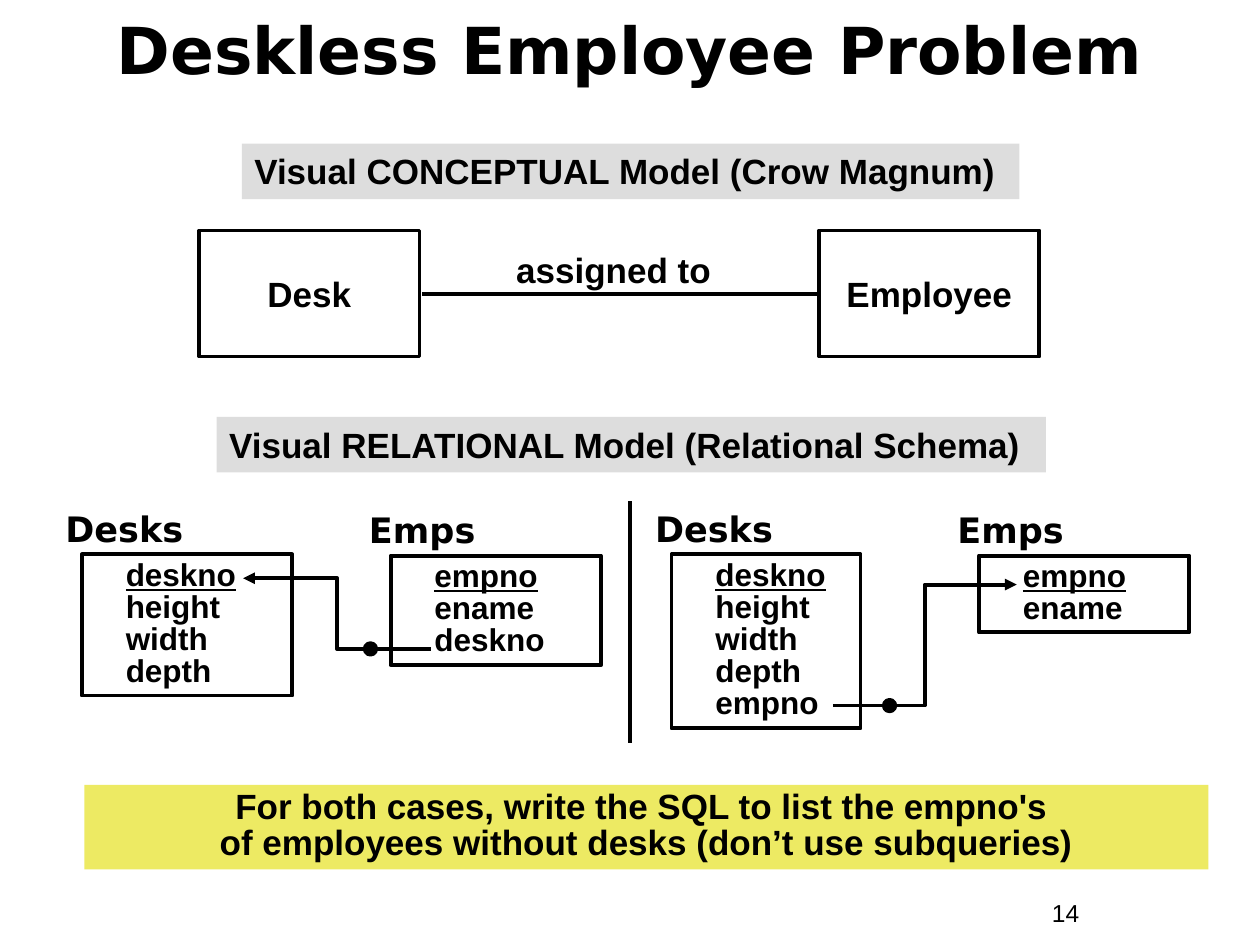
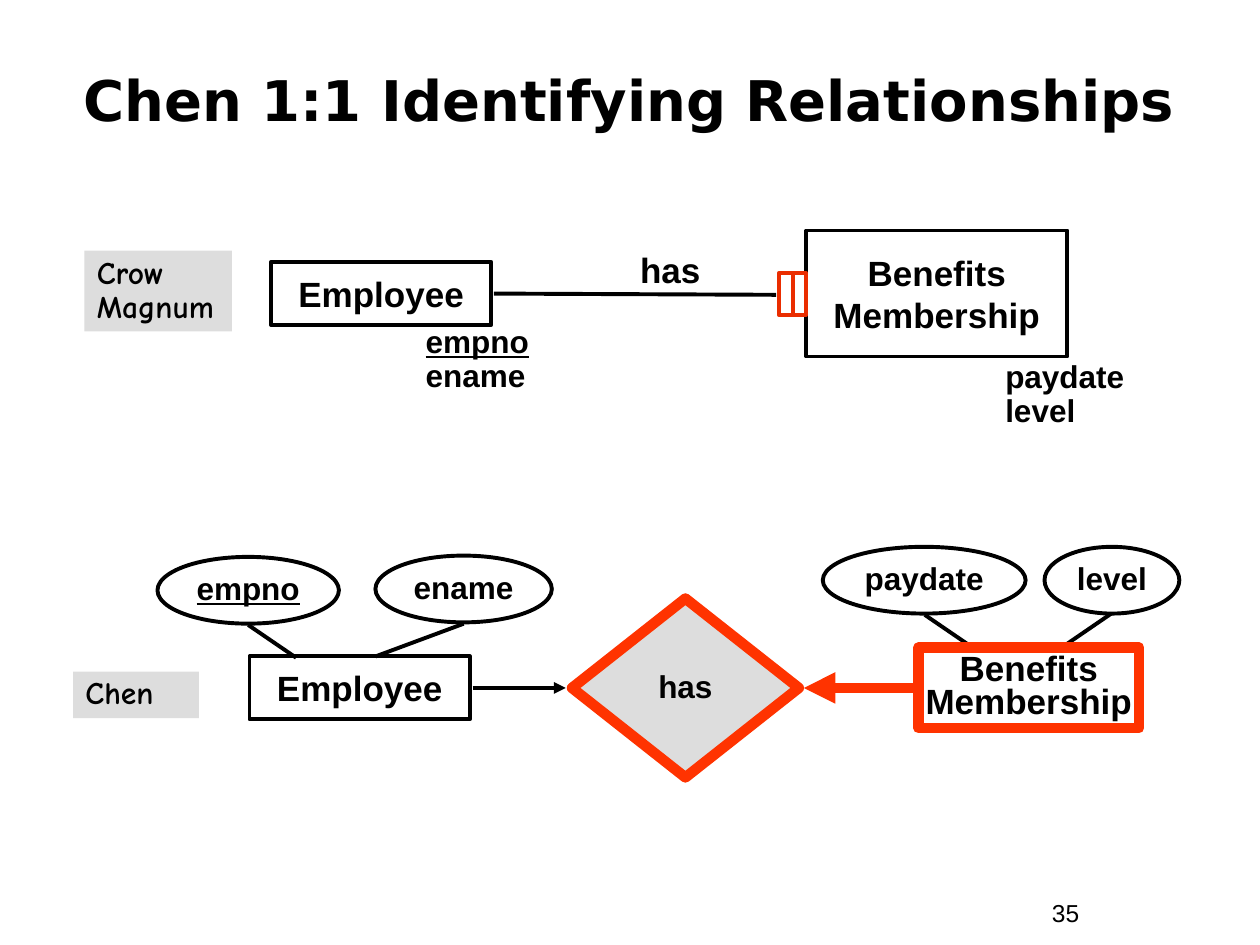
from lxml.etree import SubElement
from pptx import Presentation
from pptx.dml.color import RGBColor
from pptx.enum.shapes import MSO_CONNECTOR, MSO_SHAPE
from pptx.enum.text import MSO_ANCHOR, PP_ALIGN
from pptx.oxml.ns import qn
from pptx.util import Inches, Pt

BLACK = RGBColor(0x00, 0x00, 0x00)
WHITE = RGBColor(0xFF, 0xFF, 0xFF)
GREY = RGBColor(0xDD, 0xDD, 0xDD)
YELLOW = RGBColor(0xED, 0xEA, 0x63)
RED = RGBColor(0xFF, 0x33, 0x00)
BRICK = RGBColor(0xEA, 0x2D, 0x00)

BODY = "Arial"
HEAD = "DejaVu Sans"
COMIC = "Comic Neue"
THIN, THICK = 2.25, 6


def write(shape, lines, size=20, font=BODY, bold=True, key=None, align=PP_ALIGN.LEFT,
          anchor=MSO_ANCHOR.TOP, wrap=True, spacing=1.0, indent=0):
    """Fill a shape with one paragraph per line; the line equal to key is underlined."""
    frame = shape.text_frame
    frame.word_wrap = wrap
    frame.vertical_anchor = anchor
    for i, line in enumerate(lines):
        para = frame.paragraphs[0] if i == 0 else frame.add_paragraph()
        para.text = line
        if indent:
            para._p.get_or_add_pPr().set("marL", str(Inches(indent)))
        para.alignment = align
        para.line_spacing = spacing
        para.font.name = font
        para.font.size = Pt(size)
        para.font.bold = bold
        para.font.color.rgb = BLACK
        if line == key:
            para.font.underline = True


def label(slide, lines, x, y, w, h, **style):
    box = slide.shapes.add_textbox(Inches(x), Inches(y), Inches(w), Inches(h))
    write(box, lines, **style)


def block(slide, x, y, w, h, kind=MSO_SHAPE.RECTANGLE, fill=None, line=BLACK, width=THIN):
    shape = slide.shapes.add_shape(kind, Inches(x), Inches(y), Inches(w), Inches(h))
    shape.shadow.inherit = False
    if fill is None:
        shape.fill.background()
    else:
        shape.fill.solid()
        shape.fill.fore_color.rgb = fill
    if line is None:
        shape.line.fill.background()
    else:
        shape.line.color.rgb = line
        shape.line.width = Pt(width)
    return shape


def node(slide, lines, x, y, w, h, size=20, spacing=1.0, key=None, **look):
    """A shape with centred text: entity, attribute or relationship."""
    write(block(slide, x, y, w, h, **look), lines, size=size, spacing=spacing, key=key,
          align=PP_ALIGN.CENTER, anchor=MSO_ANCHOR.MIDDLE, wrap=False)


def oval(slide, name, x, y, w, key=None):
    node(slide, [name], x, y, w, 0.53, size=18, spacing=0.9, key=key,
         kind=MSO_SHAPE.OVAL, fill=WHITE)


def band(slide, lines, x, y, w, h, fill=GREY, **style):
    write(block(slide, x, y, w, h, fill=fill, line=None), lines, **style)


def link(slide, start, end, kind=MSO_CONNECTOR.STRAIGHT, arrow=False, color=BLACK, width=THIN):
    line = slide.shapes.add_connector(kind, *(Inches(v) for v in (*start, *end)))
    line.line.color.rgb = color
    line.line.width = Pt(width)
    if arrow:
        SubElement(line.line._get_or_add_ln(), qn("a:tailEnd"), type="triangle")
    SubElement(line._element.spPr, qn("a:effectLst"))


def table_box(slide, name, fields, x, y, w, h, gap):
    """A relation: its name above a box of columns, the first being the key."""
    label(slide, [name], x - gap, y - 0.42, 2.15, 0.44, font=HEAD)
    write(block(slide, x, y, w, h), fields, size=18, key=fields[0], spacing=0.85, indent=0.25)


def foreign(slide, start, end, dot):
    """An elbow arrow from a foreign key to a primary key, with a dot on it."""
    link(slide, start, end, kind=MSO_CONNECTOR.ELBOW, arrow=True)
    size = 0.09
    block(slide, dot - size / 2, start[1] - size / 2, size, size, kind=MSO_SHAPE.OVAL, fill=BLACK)


def new_slide(deck, title, number, y, h, size, spacing=1.0):
    slide = deck.slides.add_slide(deck.slide_layouts[6])
    label(slide, [title], 0.33, y, 9.33, h, size=size, font=HEAD, spacing=spacing,
          align=PP_ALIGN.CENTER, anchor=MSO_ANCHOR.MIDDLE)
    label(slide, [str(number)], 8.25, 7.08, 0.92, 0.34, size=14, bold=False)
    return slide


def desk_slide(deck):
    slide = new_slide(deck, "Deskless Employee Problem", 14, 0.11, 0.67, 37, 0.8)

    band(slide, ["Visual CONCEPTUAL Model (Crow Magnum)"], 1.92, 1.14, 6.17, 0.44)
    for name, x in (("Desk", 1.58), ("Employee", 6.5)):
        node(slide, [name], x, 1.83, 1.75, 1)
    link(slide, (3.35, 2.33), (6.49, 2.33))
    label(slide, ["assigned to"], 3.83, 1.92, 2.08, 0.44, align=PP_ALIGN.CENTER)

    band(slide, ["Visual RELATIONAL Model (Relational Schema)"], 1.72, 3.31, 6.58, 0.44)
    link(slide, (5, 3.98), (5, 5.9))
    desk = ["deskno", "height", "width", "depth"]
    emp = ["empno", "ename"]
    table_box(slide, "Desks", desk, 0.65, 4.4, 1.67, 1.12, 0.23)
    table_box(slide, "Emps", emp + ["deskno"], 3.1, 4.41, 1.67, 0.87, 0.27)
    foreign(slide, (3.42, 5.15), (1.93, 4.59), 2.94)
    table_box(slide, "Desks", desk + ["empno"], 5.33, 4.4, 1.5, 1.38, 0.23)
    table_box(slide, "Emps", emp, 7.77, 4.41, 1.67, 0.61, 0.27)
    foreign(slide, (6.61, 5.6), (8.07, 4.64), 7.06)

    task = ("For both cases, write the SQL to list the empno's \v"
            "of employees without desks (don’t use subqueries)")
    band(slide, [task], 0.67, 6.23, 8.92, 0.67, fill=YELLOW, spacing=0.85,
         align=PP_ALIGN.CENTER)


def chen_slide(deck):
    slide = new_slide(deck, "Chen 1:1 Identifying Relationships", 35, 0.33, 0.92, 32)
    member = ["Benefits\vMembership"]
    note = dict(size=18, spacing=0.9)

    band(slide, ["Crow\vMagnum"], 0.67, 1.99, 1.17, 0.64, font=COMIC, **note)
    node(slide, ["Employee"], 2.15, 2.08, 1.75, 0.5)
    node(slide, member, 6.4, 1.83, 2.07, 1)
    link(slide, (3.92, 2.33), (6.16, 2.34))
    label(slide, ["has"], 4.98, 1.92, 0.68, 0.44, align=PP_ALIGN.CENTER, wrap=False)
    label(slide, ["empno", "ename"], 3.28, 2.54, 1.21, 0.64, key="empno", **note)
    label(slide, ["paydate", "level"], 7.88, 2.82, 1.21, 0.64, **note)
    for x in (6.29, 6.18):
        block(slide, x, 2.17, 0.11, 0.33, line=BRICK)

    band(slide, ["Chen"], 0.58, 5.33, 1, 0.37, font=COMIC, **note)
    oval(slide, "empno", 1.25, 4.42, 1.44, key="empno")
    oval(slide, "ename", 2.98, 4.41, 1.4)
    oval(slide, "paydate", 6.53, 4.34, 1.61)
    oval(slide, "level", 8.29, 4.34, 1.07)
    for start, end in (((1.97, 4.96), (2.35, 5.22)), ((3.68, 4.95), (2.98, 5.21)),
                       ((7.34, 4.88), (7.72, 5.14)), ((8.82, 4.87), (8.44, 5.13))):
        link(slide, start, end)
    node(slide, ["Employee"], 1.98, 5.21, 1.75, 0.5)
    node(slide, member, 7.29, 5.14, 1.75, 0.64, spacing=0.8, line=RED, width=THICK)
    link(slide, (3.75, 5.46), (4.49, 5.46), arrow=True)
    node(slide, ["has"], 4.54, 4.75, 1.8, 1.42, kind=MSO_SHAPE.FLOWCHART_DECISION,
         fill=GREY, line=RED, width=THICK, **note)
    link(slide, (7.25, 5.46), (6.38, 5.46), arrow=True, color=RED, width=THICK)


def main():
    deck = Presentation()
    deck.slide_width = Inches(10)
    deck.slide_height = Inches(7.5)
    desk_slide(deck)
    chen_slide(deck)
    deck.save("out.pptx")


if __name__ == "__main__":
    main()
